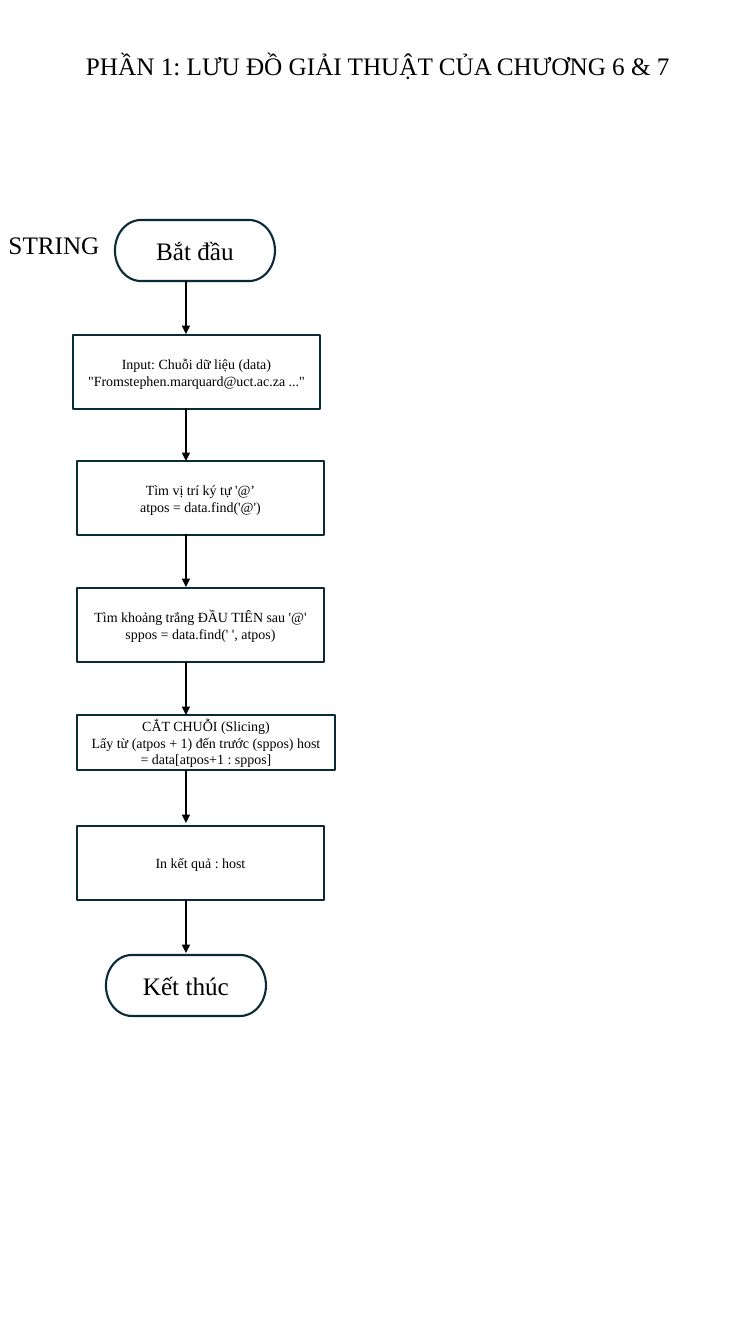
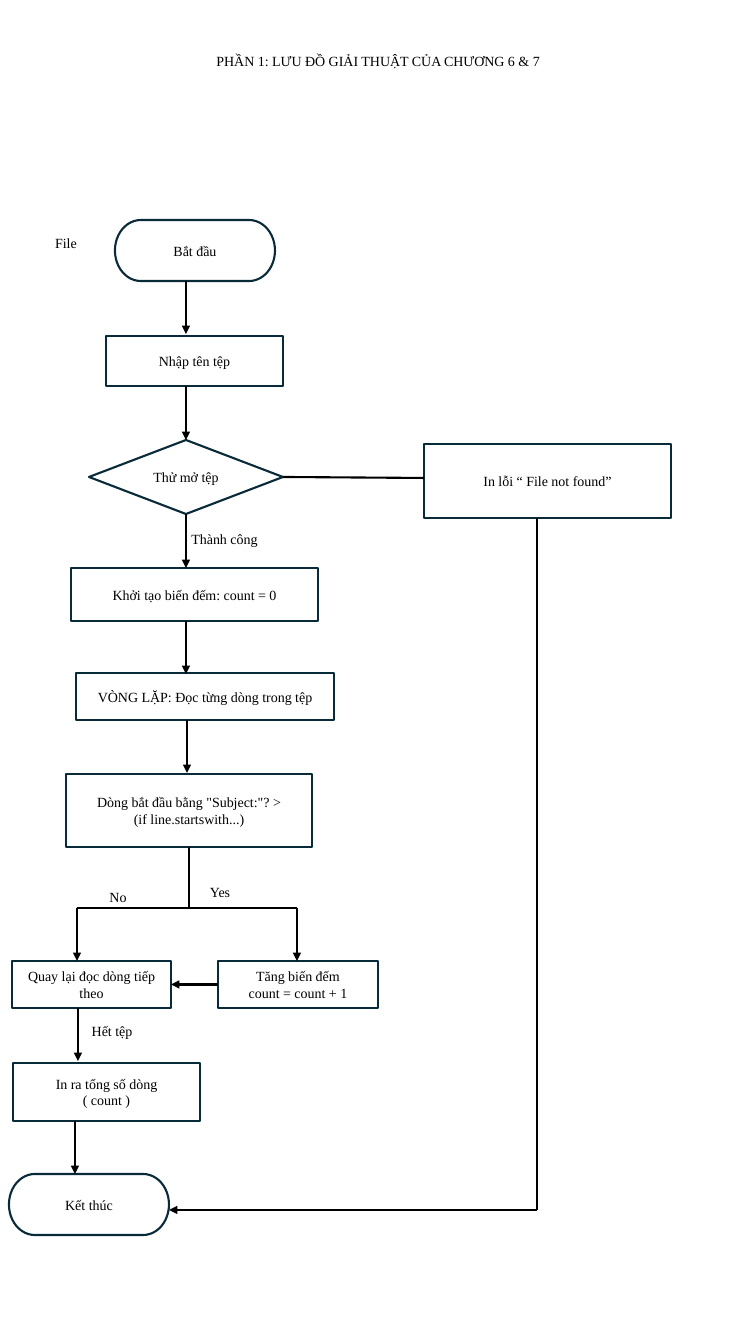
"""Two flowchart slides: slicing a string and counting lines in a file."""
from lxml import etree
from pptx import Presentation
from pptx.dml.color import RGBColor
from pptx.enum.shapes import MSO_CONNECTOR, MSO_SHAPE
from pptx.enum.text import MSO_ANCHOR, PP_ALIGN
from pptx.oxml.ns import qn
from pptx.util import Emu, Pt

PX = 914400 / 100.8
FONT = "Times New Roman"
BLACK, WHITE, OUTLINE = "000000", "FFFFFF", "092A39"
STROKE = Pt(1.5)
LARGE, SMALL = 18, 10
DROP = 53
TITLE = "PHẦN 1: LƯU ĐỒ GIẢI THUẬT CỦA CHƯƠNG 6 & 7"
TITLE_AREA = (54, 49, 648, 50)
START_AREA = (115, 220, 160, 61)
TOP, BOTTOM, LEFT, RIGHT = 0, 2, 1, 3
TERMINATOR = MSO_SHAPE.FLOWCHART_TERMINATOR
STEP = MSO_SHAPE.RECTANGLE
DECISION = MSO_SHAPE.FLOWCHART_DECISION
STRAIGHT = MSO_CONNECTOR.STRAIGHT
CENTER = PP_ALIGN.CENTER
MIDDLE, UPPER = MSO_ANCHOR.MIDDLE, MSO_ANCHOR.TOP
color = RGBColor.from_string


def add_node(slide, kind, area, text, size=SMALL):
    """Add a flowchart node, or a bare label when kind is None."""
    place = [Emu(round(length * PX)) for length in area]
    if kind is None:
        node = slide.shapes.add_textbox(*place)
        node.text_frame.margin_left = node.text_frame.margin_right = 0
    else:
        node = slide.shapes.add_shape(kind, *place)
        node.shadow.inherit = False
        node.fill.solid()
        node.fill.fore_color.rgb = color(WHITE)
        node.line.color.rgb = color(OUTLINE)
        node.line.width = STROKE
    frame = node.text_frame
    frame.word_wrap = True
    frame.vertical_anchor = MIDDLE if kind else UPPER
    for index, line in enumerate(text.split("\n")):
        paragraph = frame.add_paragraph() if index else frame.paragraphs[0]
        paragraph.alignment = CENTER
        if kind is None:
            paragraph.line_spacing = 0.9
        run = paragraph.add_run()
        run.text = line
        run.font.size = Pt(size)
        run.font.name = FONT
        run.font.color.rgb = color(BLACK)
    return node


def add_flow(slide, x1, y1, x2, y2, arrow=True):
    """Add a straight flow line, with an arrowhead at its end if wanted."""
    flow = slide.shapes.add_connector(
        STRAIGHT, *[Emu(round(length * PX)) for length in (x1, y1, x2, y2)])
    flow.line.color.rgb = color(BLACK)
    flow.line.width = STROKE
    if arrow:
        etree.SubElement(flow.line._get_or_add_ln(), qn("a:tailEnd"), type="triangle")
    etree.SubElement(flow._element.spPr, qn("a:effectLst"))
    return flow


deck = Presentation()
deck.slide_width, deck.slide_height = Emu(round(756 * PX)), Emu(round(1344 * PX))
blank = deck.slide_layouts[6]

string_slide = deck.slides.add_slide(blank)
for kind, area, text, size in [
    (None, TITLE_AREA, TITLE, LARGE),
    (None, (0, 228, 108, 50), "STRING", LARGE),
    (TERMINATOR, START_AREA, "Bắt đầu", LARGE),
    (STEP, (73, 335, 247, 74),
     "Input: Chuỗi dữ liệu (data)\n\"Fromstephen.marquard@uct.ac.za ...\"", SMALL),
    (STEP, (77, 461, 247, 74), "Tìm vị trí ký tự '@’\natpos = data.find('@')", SMALL),
    (STEP, (77, 588, 247, 74),
     "Tìm khoảng trắng ĐẦU TIÊN sau '@' sppos = data.find(' ', atpos)", SMALL),
    (STEP, (77, 715, 258, 55),
     "CẮT CHUỖI (Slicing)\n"
     "Lấy từ (atpos + 1) đến trước (sppos) host = data[atpos+1 : sppos]", SMALL),
    (STEP, (77, 826, 247, 74), "In kết quả : host", SMALL),
    (TERMINATOR, (106, 955, 160, 61), "Kết thúc", LARGE),
]:
    add_node(string_slide, kind, area, text, size)
for y in (281, 408, 534, 662, 770, 900):
    add_flow(string_slide, 186, y, 186, y + DROP)

file_slide = deck.slides.add_slide(blank)
for kind, area, text in [
    (None, TITLE_AREA, TITLE),
    (None, (0, 231, 132, 50), "File"),
    (None, (151, 527, 147, 27), "Thành công"),
    (None, (171, 880, 98, 30), "Yes"),
    (None, (69, 885, 98, 30), "No"),
    (None, (63, 1020, 98, 30), "Hết tệp"),
    (TERMINATOR, START_AREA, "Bắt đầu"),
    (STEP, (106, 336, 177, 50), "Nhập tên tệp"),
    (STEP, (424, 444, 247, 74), "In lỗi “ File not found”"),
    (STEP, (71, 568, 247, 53), "Khởi tạo biến đếm: count = 0"),
    (STEP, (76, 673, 258, 47), "VÒNG LẶP: Đọc từng dòng trong tệp"),
    (STEP, (13, 1063, 187, 58), "In ra tổng số dòng\n( count )"),
    (TERMINATOR, (9, 1174, 160, 61), "Kết thúc"),
]:
    add_node(file_slide, kind, area, text)

open_file = add_node(file_slide, DECISION, (89, 440, 194, 74), "Thử mở tệp")
check_line = add_node(file_slide, STEP, (66, 774, 246, 73),
                      "Dòng bắt đầu bằng \"Subject:\"? >\n(if line.startswith...)")
next_line = add_node(file_slide, STEP, (12, 961, 159, 47), "Quay lại đọc dòng tiếp theo")
increment = add_node(file_slide, STEP, (218, 961, 160, 47),
                     "Tăng biến đếm\ncount = count + 1")

for x, y in [(186, 281), (186, 621), (187, 720), (77, 908), (297, 908),
             (78, 1008), (75, 1121)]:
    add_flow(file_slide, x, y, x, y + DROP)

add_flow(file_slide, 186, 386, 186, 440).end_connect(open_file, TOP)
add_flow(file_slide, 186, 514, 186, 568).begin_connect(open_file, BOTTOM)
add_flow(file_slide, 283, 477, 424, 478, arrow=False).begin_connect(open_file, RIGHT)
add_flow(file_slide, 189, 847, 189, 908, arrow=False).begin_connect(check_line, BOTTOM)
add_flow(file_slide, 77, 908, 297, 908, arrow=False)
repeat = add_flow(file_slide, 218, 985, 171, 985)
repeat.begin_connect(increment, LEFT)
repeat.end_connect(next_line, RIGHT)
add_flow(file_slide, 537, 518, 537, 1210, arrow=False)
add_flow(file_slide, 537, 1210, 169, 1210)

deck.save("out.pptx")
